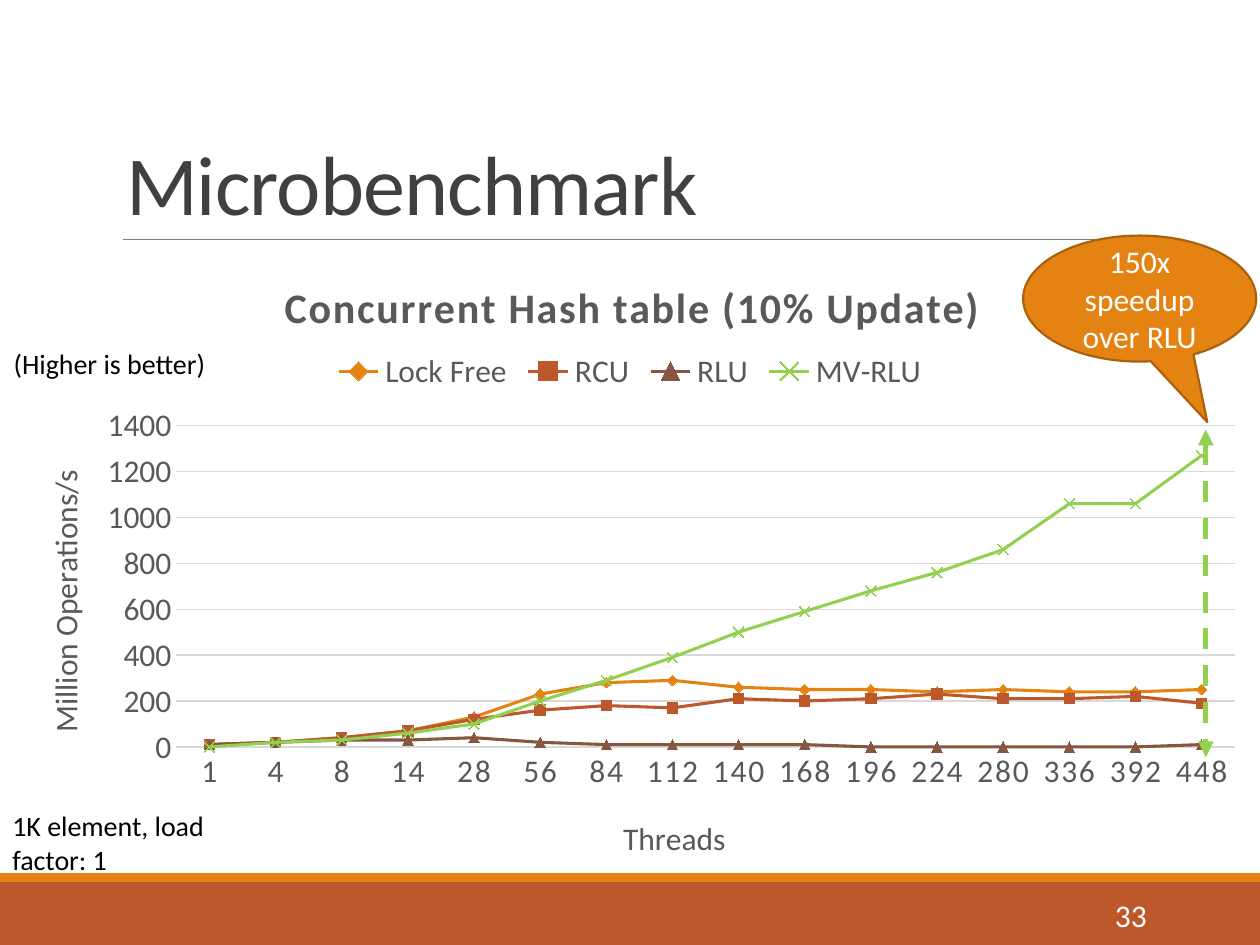
from dataclasses import dataclass

from lxml import etree
from pptx import Presentation
from pptx.chart.data import CategoryChartData
from pptx.dml.color import RGBColor
from pptx.enum import chart as charts, dml, shapes, text
from pptx.oxml import parse_xml
from pptx.oxml.ns import nsdecls, qn
from pptx.util import Inches, Pt


@dataclass(frozen=True)
class Theme:
    font: str = "Calibri"
    orange: str = "E48312"
    rust: str = "BD582C"
    brown: str = "865640"
    green: str = "92D050"
    outline: str = "A9610D"
    rule: str = "808080"
    grid: str = "D9D9D9"
    heading: str = "404040"
    label: str = "595959"
    black: str = "000000"
    white: str = "FFFFFF"
    title_size: float = 48
    chart_title_size: float = 24
    body_size: float = 18
    note_size: float = 16


THREADS = [1, 4, 8, 14, 28, 56, 84, 112, 140, 168, 196, 224, 280, 336, 392, 448]
MARKERS = charts.XL_MARKER_STYLE
SERIES = [
    ("Lock Free", "orange", MARKERS.DIAMOND,
     [10, 20, 40, 70, 130, 230, 280, 290, 260, 250, 250, 240, 250, 240, 240, 250]),
    ("RCU", "rust", MARKERS.SQUARE,
     [10, 20, 40, 70, 120, 160, 180, 170, 210, 200, 210, 230, 210, 210, 220, 190]),
    ("RLU", "brown", MARKERS.TRIANGLE,
     [10, 20, 30, 30, 40, 20, 10, 10, 10, 10, 0, 0, 0, 0, 0, 10]),
    ("MV-RLU", "green", MARKERS.X,
     [0, 20, 30, 60, 100, 200, 290, 390, 500, 590, 680, 760, 860, 1060, 1060, 1270]),
]


class SlideBuilder:
    def __init__(self, slide, theme):
        self.slide = slide
        self.theme = theme

    def style_font(self, font, size, color, bold=False):
        font.name = self.theme.font
        font.size = Pt(size)
        font.bold = bold
        font.color.rgb = RGBColor.from_string(color)

    def style_line(self, line, color, width):
        line.color.rgb = RGBColor.from_string(color)
        line.width = Pt(width)

    def set_text(self, frame, words, size, color, align=None, bold=False, spacing=0):
        frame.text = words
        paragraph = frame.paragraphs[0]
        paragraph.alignment = align
        for run in paragraph.runs:
            self.style_font(run.font, size, color, bold)
            if spacing:
                run.font._element.set("spc", str(spacing))
        return paragraph

    def title(self, words, *box):
        shape = self.slide.shapes.title
        shape.left, shape.top, shape.width, shape.height = map(Inches, box)
        frame = shape.text_frame
        frame.auto_size = text.MSO_AUTO_SIZE.NONE
        frame.vertical_anchor = text.MSO_ANCHOR.BOTTOM
        paragraph = self.set_text(frame, words, self.theme.title_size, self.theme.heading,
                                  text.PP_ALIGN.LEFT, spacing=-50)
        paragraph.line_spacing = 0.85

    def text_box(self, words, box, size, color, align=None, anchor=text.MSO_ANCHOR.TOP):
        frame = self.slide.shapes.add_textbox(*map(Inches, box)).text_frame
        frame.word_wrap = True
        frame.vertical_anchor = anchor
        self.set_text(frame, words, size, color, align)

    def shape(self, kind, box, fill):
        shape = self.slide.shapes.add_shape(kind, *map(Inches, box))
        shape.shadow.inherit = False
        shape.fill.solid()
        shape.fill.fore_color.rgb = RGBColor.from_string(fill)
        shape.line.fill.background()
        return shape

    def callout(self, words, box, pointer):
        shape = self.shape(shapes.MSO_SHAPE.OVAL_CALLOUT, box, self.theme.orange)
        shape.adjustments[0], shape.adjustments[1] = pointer
        self.style_line(shape.line, self.theme.outline, 1.25)
        shape.text_frame.word_wrap = True
        shape.text_frame.vertical_anchor = text.MSO_ANCHOR.MIDDLE
        self.set_text(shape.text_frame, words, self.theme.body_size, self.theme.white,
                      text.PP_ALIGN.CENTER)

    def line(self, ends, color, width, dashed_arrow=False):
        connector = self.slide.shapes.add_connector(
            shapes.MSO_CONNECTOR.STRAIGHT, *map(Inches, ends))
        self.style_line(connector.line, color, width)
        if dashed_arrow:
            connector.line.dash_style = dml.MSO_LINE.DASH
            outline = connector.line._get_or_add_ln()
            for end in ("a:headEnd", "a:tailEnd"):
                etree.SubElement(outline, qn(end), type="triangle")
        etree.SubElement(connector._element.spPr, qn("a:effectLst"))

    def place(self, element, **fractions):
        for old in element.findall(qn("c:layout")):
            element.remove(old)
        target = '<c:layoutTarget val="inner"/>' if element.tag == qn("c:plotArea") else ""
        modes = "".join(f'<c:{key}Mode val="edge"/>' for key in "xy")
        values = "".join(f'<c:{key} val="{value}"/>' for key, value in fractions.items())
        layout = parse_xml(f'<c:layout {nsdecls("c")}><c:manualLayout>'
                           f'{target}{modes}{values}</c:manualLayout></c:layout>')
        before = [child for child in element if child.tag in (qn("c:tx"), qn("c:legendPos"))]
        element.insert(len(before), layout)

    def axis(self, axis, words, x, y):
        self.set_text(axis.axis_title.text_frame, words, self.theme.body_size, self.theme.label)
        self.place(axis.axis_title._element, x=x, y=y)
        axis.major_tick_mark = axis.minor_tick_mark = charts.XL_TICK_MARK.NONE
        self.style_font(axis.tick_labels.font, self.theme.body_size, self.theme.label)

    def line_chart(self, heading, box):
        theme = self.theme
        data = CategoryChartData()
        data.categories = [str(count) for count in THREADS]
        for name, _, _, values in SERIES:
            data.add_series(name, values)
        chart = self.slide.shapes.add_chart(
            charts.XL_CHART_TYPE.LINE_MARKERS, *map(Inches, box), data).chart
        self.style_font(chart.font, 10, theme.black)
        space = chart._chartSpace
        space.chart.addnext(parse_xml(
            f'<c:spPr {nsdecls("c", "a")}><a:noFill/><a:ln><a:noFill/></a:ln></c:spPr>'))
        self.place(space.chart.plotArea, x=0.14, y=0.29, w=0.84, h=0.5)

        self.set_text(chart.chart_title.text_frame, heading, theme.chart_title_size,
                      theme.label, bold=True, spacing=100)
        self.place(chart.chart_title._element, x=0.22, y=0.05)
        chart.has_legend = True
        chart.legend.position = charts.XL_LEGEND_POSITION.TOP
        chart.legend.include_in_layout = False
        self.style_font(chart.legend.font, theme.body_size, theme.label)
        self.place(chart.legend._element, x=0.26, y=0.17, w=0.48, h=0.07)

        categories, values = chart.category_axis, chart.value_axis
        self.axis(categories, "Threads", 0.49, 0.89)
        categories.tick_labels.font._element.set("spc", "100")
        self.style_line(categories.format.line, theme.grid, 0.75)
        self.axis(values, "Million Operations/s", 0.03, 0.35)
        body = values.axis_title.text_frame._txBody.bodyPr
        body.set("rot", "-5400000")
        body.set("vert", "horz")
        values.minimum_scale, values.maximum_scale, values.major_unit = 0, 1400, 200
        values.format.line.fill.background()
        self.style_line(values.major_gridlines.format.line, theme.grid, 0.75)

        plot = chart.plots[0]
        plot.vary_by_categories = False
        for series, (_, color_name, symbol, _) in zip(plot.series, SERIES):
            color = getattr(theme, color_name)
            series.smooth = False
            self.style_line(series.format.line, color, 1.75)
            marker = series.marker
            marker.style, marker.size = symbol, 6
            self.style_line(marker.format.line, color, 0.75)
            if symbol == MARKERS.X:
                marker.format.fill.background()
            else:
                marker.format.fill.solid()
                marker.format.fill.fore_color.rgb = RGBColor.from_string(color)


def main():
    theme = Theme()
    presentation = Presentation()
    presentation.slide_width, presentation.slide_height = Inches(10), Inches(7.5)
    slide = presentation.slides.add_slide(presentation.slide_layouts[5])
    builder = SlideBuilder(slide, theme)
    rectangle = shapes.MSO_SHAPE.RECTANGLE
    builder.shape(rectangle, (0, 7, 10, 0.5), theme.rust)
    builder.shape(rectangle, (0, 6.93, 10, 0.07), theme.orange)
    builder.line((0.98, 1.9, 9.15, 1.9), theme.rule, 0.5)
    builder.title("Microbenchmark", 0.9, 0.31, 8.25, 1.59)
    builder.text_box("33", (8.12, 7.06, 1.08, 0.4), theme.body_size, theme.white,
                     text.PP_ALIGN.RIGHT, text.MSO_ANCHOR.MIDDLE)
    builder.line_chart("Concurrent Hash table (10% Update)", (0, 1.9, 10, 5.1))
    builder.line((9.57, 3.41, 9.57, 6.01), theme.green, 3, dashed_arrow=True)
    builder.callout("150x speedup over RLU", (8.12, 1.87, 1.85, 1), (0.29, 0.98))
    for note, left, top in (("(Higher is better)", 0.01, 2.7),
                            ("1K element, load factor: 1", 0, 6.37)):
        builder.text_box(note, (left, top, 1.77, 0.53), theme.note_size, theme.black)
    presentation.save("out.pptx")


if __name__ == "__main__":
    main()
